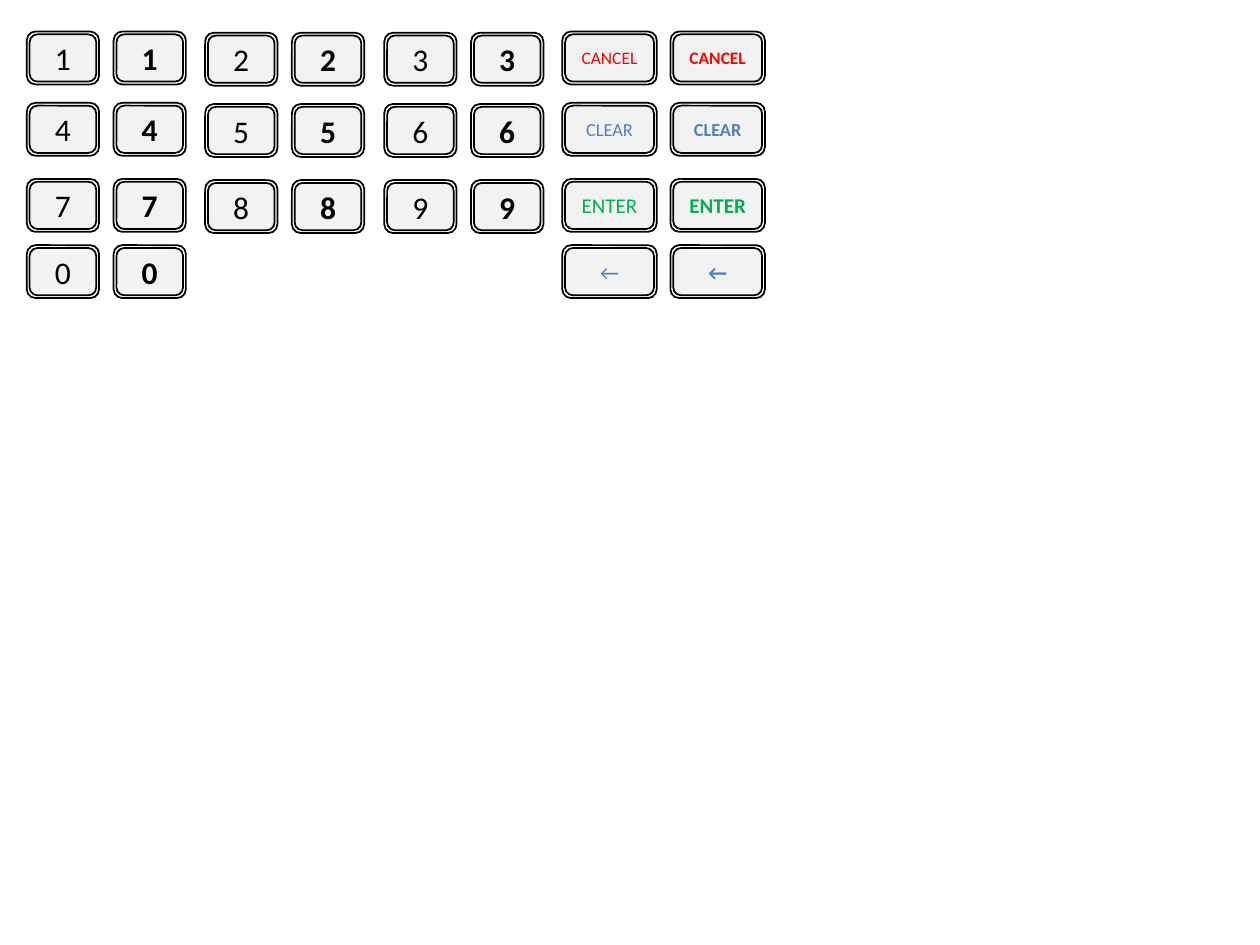
"""Build a keypad slide with plain and bold versions of every key."""
from pptx import Presentation
from pptx.dml.color import RGBColor
from pptx.enum.shapes import MSO_SHAPE
from pptx.enum.text import MSO_ANCHOR, PP_ALIGN
from pptx.util import Pt

COLORS = {"ink": "000000", "rim": "FFFFFF", "face": "F2F2F2",
          "red": "FF0000", "blue": "4F81BD", "green": "00B050"}
FRAME = {"margin_left": 0, "margin_right": 0, "margin_top": 0,
         "margin_bottom": 0, "word_wrap": True,
         "vertical_anchor": MSO_ANCHOR.MIDDLE}


def tint(name):
    return RGBColor.from_string(COLORS[name])


def apply(target, values):
    for name, value in values.items():
        setattr(target, name, value)


class Pad:
    """Hold the key style and the current slide."""

    font = "Calibri"
    line = 1
    high = 30.24
    inset = 1.62

    def __init__(self, slide):
        self.slide = slide

    def plate(self, group, left, top, width, height, fill):
        shape = group.shapes.add_shape(
            MSO_SHAPE.ROUNDED_RECTANGLE,
            Pt(left), Pt(top), Pt(width), Pt(height))
        shape.shadow.inherit = False
        shape.fill.solid()
        shape.fill.fore_color.rgb = tint(fill)
        shape.line.color.rgb = tint("ink")
        shape.line.width = Pt(self.line)
        return shape

    def label(self, shape, text, size, color, bold):
        frame = shape.text_frame
        apply(frame, FRAME)
        para = frame.paragraphs[0]
        para.alignment = PP_ALIGN.CENTER
        run = para.add_run()
        run.text = text
        apply(run.font, {"name": self.font, "size": Pt(size), "bold": bold})
        run.font.color.rgb = tint(color)

    def key(self, left, top, width, text, size, color, bold):
        group = self.slide.shapes.add_group_shape()
        self.plate(group, left, top, width, self.high, "rim")
        gap = self.inset
        face = self.plate(group, left + gap, top + gap, width - 2 * gap,
                          self.high - 2 * gap, "face")
        self.label(face, text, size, color, bold)

    def pair(self, left, top, width, step, text, size, color):
        for bold in (True, False):
            self.key(left + step * bold, top, width, text, size, color, bold)


deck = Presentation()
apply(deck, {"slide_width": Pt(720), "slide_height": Pt(540)})
pad = Pad(deck.slides.add_slide(deck.slide_layouts[6]))

ROWS = [18, 58.75, 102.24, 140.1]
COLS = [(15.3, 0), (117.2, 0.7), (219.6, 0.7)]
DIGITS = ["123", "456", "789", "0"]
ACTIONS = [("CANCEL", 10, "red"), ("CLEAR", 10.5, "blue"),
           ("ENTER", 12, "green"), ("←", 12, "blue")]

for top, digits in zip(ROWS, DIGITS):
    for (left, drop), digit in zip(COLS, digits):
        pad.pair(left, top + drop, 41.3, 49.6, digit, 18, "ink")

for top, action in zip(ROWS, ACTIONS):
    pad.pair(321.3, top, 54, 61.8, *action)

deck.save("out.pptx")
